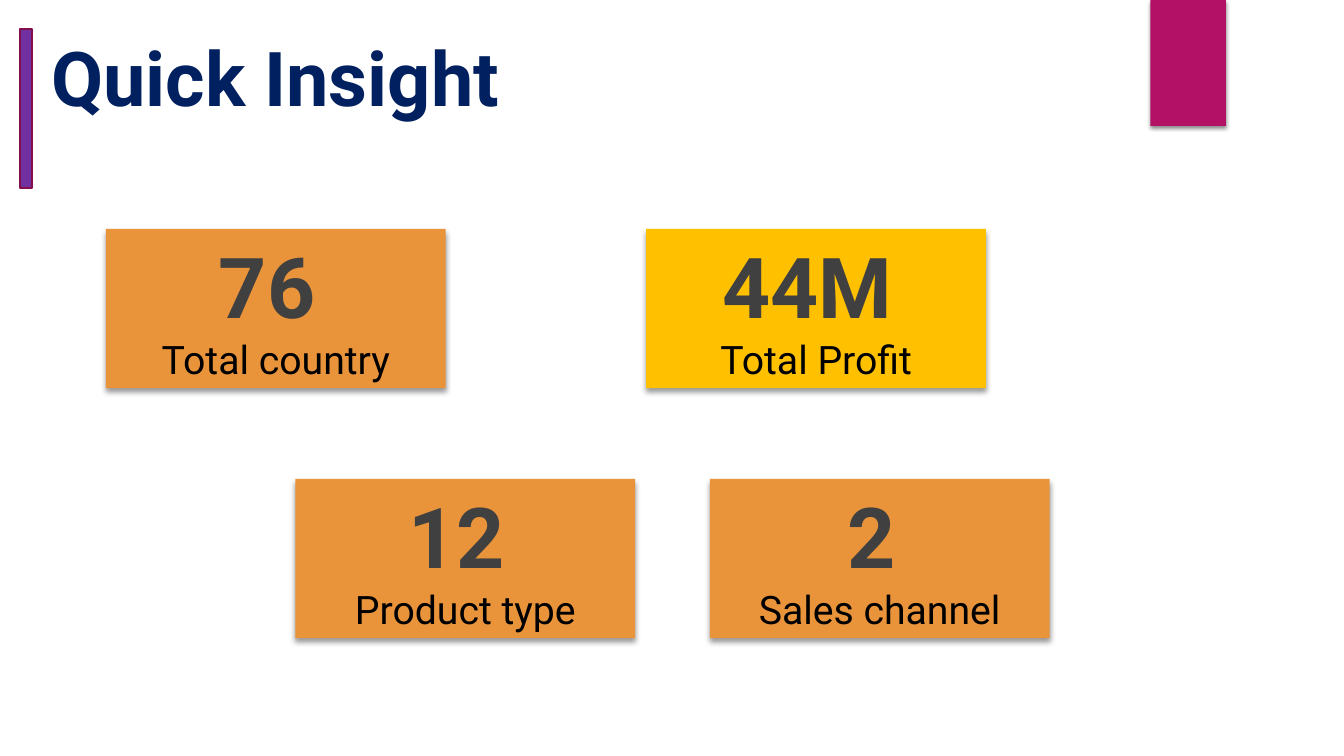
from lxml.etree import SubElement
from pptx import Presentation
from pptx.dml.color import RGBColor
from pptx.enum.shapes import MSO_SHAPE
from pptx.enum.text import MSO_ANCHOR, PP_ALIGN
from pptx.oxml.ns import qn
from pptx.util import Inches, Pt

MAGENTA = RGBColor(0xB3, 0x11, 0x66)
DARK_MAGENTA = RGBColor(0x84, 0x0D, 0x4B)
PURPLE = RGBColor(0x70, 0x30, 0xA0)
NAVY = RGBColor(0x00, 0x20, 0x60)
ORANGE = RGBColor(0xE9, 0x94, 0x3A)
GOLD = RGBColor(0xFF, 0xC0, 0x00)
GREY = RGBColor(0x40, 0x40, 0x40)
BLACK = RGBColor(0x00, 0x00, 0x00)

BODY_FONT = "Roboto"
SPACE_FONT = "TeX Gyre Adventor"
CARD_WIDTH, CARD_HEIGHT = 3.37, 1.58
TOP_ROW, BOTTOM_ROW = 2.27, 4.75

INSIGHTS = [
    ("76", "Total country", 1.05, TOP_ROW, ORANGE),
    ("44M", "Total Profit", 6.41, TOP_ROW, GOLD),
    ("12", "Product type", 2.93, BOTTOM_ROW, ORANGE),
    ("2", "Sales channel", 7.04, BOTTOM_ROW, ORANGE),
]


def add_run(paragraph, text, size, color, bold=False, font=BODY_FONT):
    run = paragraph.add_run()
    run.text = text
    run.font.name = font
    run.font.size = Pt(size)
    run.font.bold = bold
    run.font.color.rgb = color


def add_block(slide, preset, left, top, width, height, fill):
    block = slide.shapes.add_shape(
        preset, Inches(left), Inches(top), Inches(width), Inches(height))
    block.fill.solid()
    block.fill.fore_color.rgb = fill
    block.line.fill.background()
    block.shadow.inherit = False
    return block


def add_shadow(block, opacity, blur, distance):
    effects = block._element.spPr.find(qn("a:effectLst"))
    shadow = SubElement(
        effects, qn("a:outerShdw"), blurRad=str(Pt(blur)),
        dist=str(Pt(distance)), dir="5400000", algn="ctr", rotWithShape="0")
    color = SubElement(shadow, qn("a:srgbClr"), val=str(BLACK))
    SubElement(color, qn("a:alpha"), val=str(opacity * 1000))


def add_title(slide, text):
    title = slide.shapes.title
    title.left, title.top = Inches(0.51), Inches(0.31)
    title.width, title.height = Inches(10.89), Inches(0.91)
    frame = title.text_frame
    frame.margin_left = frame.margin_right = 0
    frame.margin_top = frame.margin_bottom = 0
    frame.vertical_anchor = MSO_ANCHOR.TOP
    heading = frame.paragraphs[0]
    heading.alignment = PP_ALIGN.LEFT
    add_run(heading, text, 54, NAVY, bold=True)


def add_accent_bar(slide):
    bar = add_block(slide, MSO_SHAPE.MATH_MINUS, -0.82, 0.82, 2.15, 0.51, PURPLE)
    bar.rotation = 90
    bar.line.color.rgb = DARK_MAGENTA
    bar.line.width = Pt(1.5)


def add_insight(slide, value, label, left, top, fill):
    card = add_block(slide, MSO_SHAPE.RECTANGLE, left, top,
                     CARD_WIDTH, CARD_HEIGHT, fill)
    add_shadow(card, 40, 4, 3)
    frame = card.text_frame
    frame.word_wrap = True
    frame.vertical_anchor = MSO_ANCHOR.MIDDLE
    figure, caption = frame.paragraphs[0], frame.add_paragraph()
    figure.alignment = caption.alignment = PP_ALIGN.CENTER
    add_run(figure, value, 60, GREY, bold=True)
    add_run(figure, " ", 44, BLACK, font=SPACE_FONT)
    add_run(caption, label, 28, BLACK)


def main():
    deck = Presentation()
    deck.slide_width, deck.slide_height = Inches(13.33), Inches(7.5)
    slide = deck.slides.add_slide(deck.slide_layouts[5])
    ribbon = add_block(slide, MSO_SHAPE.RECTANGLE, 11.41, 0, 0.75, 1.25, MAGENTA)
    add_shadow(ribbon, 45, 3, 2)
    add_title(slide, "Quick Insight")
    add_accent_bar(slide)
    for insight in INSIGHTS:
        add_insight(slide, *insight)
    deck.save("out.pptx")


if __name__ == "__main__":
    main()
